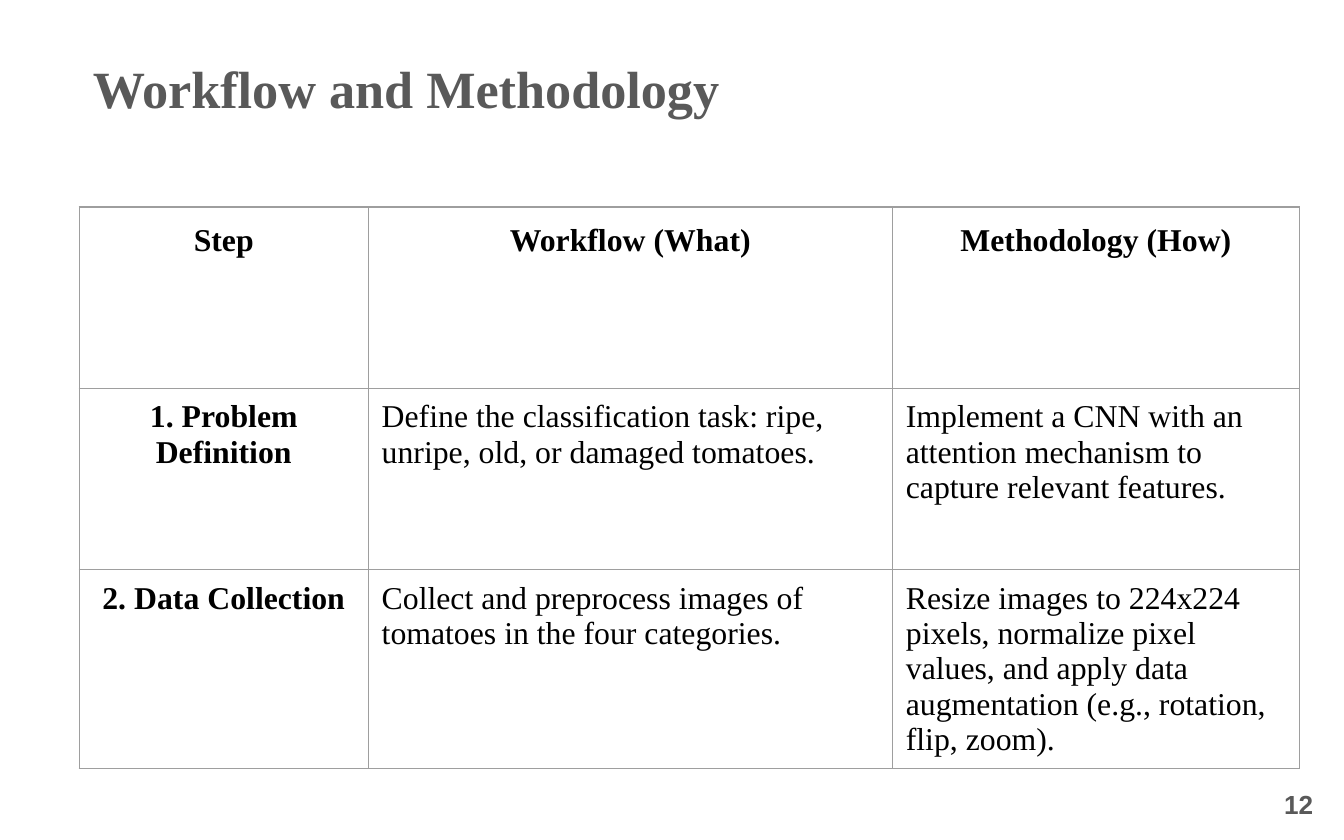
from lxml import etree
from pptx import Presentation
from pptx.dml.color import RGBColor
from pptx.enum.text import MSO_ANCHOR, MSO_AUTO_SIZE, PP_ALIGN
from pptx.oxml.ns import qn
from pptx.util import Pt

PX = 9144  # EMU per px, 100 px to the inch
GREY = RGBColor(0x59, 0x59, 0x59)
BLACK = RGBColor(0, 0, 0)
RULE = RGBColor(0x9E, 0x9E, 0x9E)
LEFT, MID, RIGHT = PP_ALIGN.LEFT, PP_ALIGN.CENTER, PP_ALIGN.RIGHT
TOP, CENTRE = MSO_ANCHOR.TOP, MSO_ANCHOR.MIDDLE
FIXED = MSO_AUTO_SIZE.NONE
SERIF = "Times New Roman"

COLS = [215, 390, 303]
ROW = 135
ROWS = [
    ["Step", "Workflow (What)", "Methodology (How)"],
    ["1. Problem Definition",
     "Define the classification task: ripe, unripe, old, or damaged tomatoes.",
     "Implement a CNN with an attention mechanism to capture relevant features."],
    ["2. Data Collection",
     "Collect and preprocess images of tomatoes in the four categories.",
     "Resize images to 224x224 pixels, normalize pixel values, and apply data "
     "augmentation (e.g., rotation, flip, zoom)."],
]


def write(frame, text, align, color, **font):
    """Put one formatted paragraph into a text frame."""
    para = frame.paragraphs[0]
    para.alignment = align
    run = para.add_run()
    run.text = text
    for key, value in font.items():
        setattr(run.font, key, value)
    run.font.color.rgb = color
    return para


def fit(shape, box, anchor):
    """Place a shape by its px box and set its text frame."""
    shape.left, shape.top, shape.width, shape.height = [n * PX for n in box]
    frame = shape.text_frame
    form = {"word_wrap": True, "auto_size": FIXED, "vertical_anchor": anchor}
    for side in ("left", "right", "top", "bottom"):
        form["margin_" + side] = 10 * PX
    for key, value in form.items():
        setattr(frame, key, value)
    return frame


deck = Presentation()
deck.slide_width, deck.slide_height = 1000 * PX, 625 * PX
slide = deck.slides.add_slide(deck.slide_layouts[5])

# Title and page number
frame = fit(slide.shapes.title, (59, 32, 908, 72), TOP)
write(frame, "Workflow and Methodology", LEFT, GREY,
      name=SERIF, size=Pt(28), bold=True)
frame = fit(slide.shapes.add_textbox(0, 0, PX, PX), (933, 582, 54, 33), CENTRE)
write(frame, "12", RIGHT, GREY, name="Arial", size=Pt(14), bold=True)

# Table of steps
table = slide.shapes.add_table(
    len(ROWS), len(COLS), 59 * PX, 154 * PX,
    sum(COLS) * PX, ROW * len(ROWS) * PX).table
table.first_row = table.horz_banding = False
for col, width in zip(table.columns, COLS):
    col.width = width * PX
for r, words in enumerate(ROWS):
    table.rows[r].height = ROW * PX
    for c, text in enumerate(words):
        cell = table.cell(r, c)
        cell.margin_left = cell.margin_right = 10 * PX
        cell.margin_top = cell.margin_bottom = 8 * PX
        cell.vertical_anchor = TOP
        head = r == 0 or c == 0
        para = write(cell.text_frame, text, MID if head else LEFT, BLACK,
                     name=SERIF, size=Pt(17), bold=head)
        if r == 0:
            para.line_spacing = 1.15
        props = cell._tc.get_or_add_tcPr()
        for side in ("lnL", "lnR", "lnT", "lnB"):
            line = etree.SubElement(props, qn("a:" + side), w=str(Pt(0.75)))
            fill = etree.SubElement(line, qn("a:solidFill"))
            etree.SubElement(fill, qn("a:srgbClr"), val=str(RULE))
        cell.fill.background()

deck.save("out.pptx")
